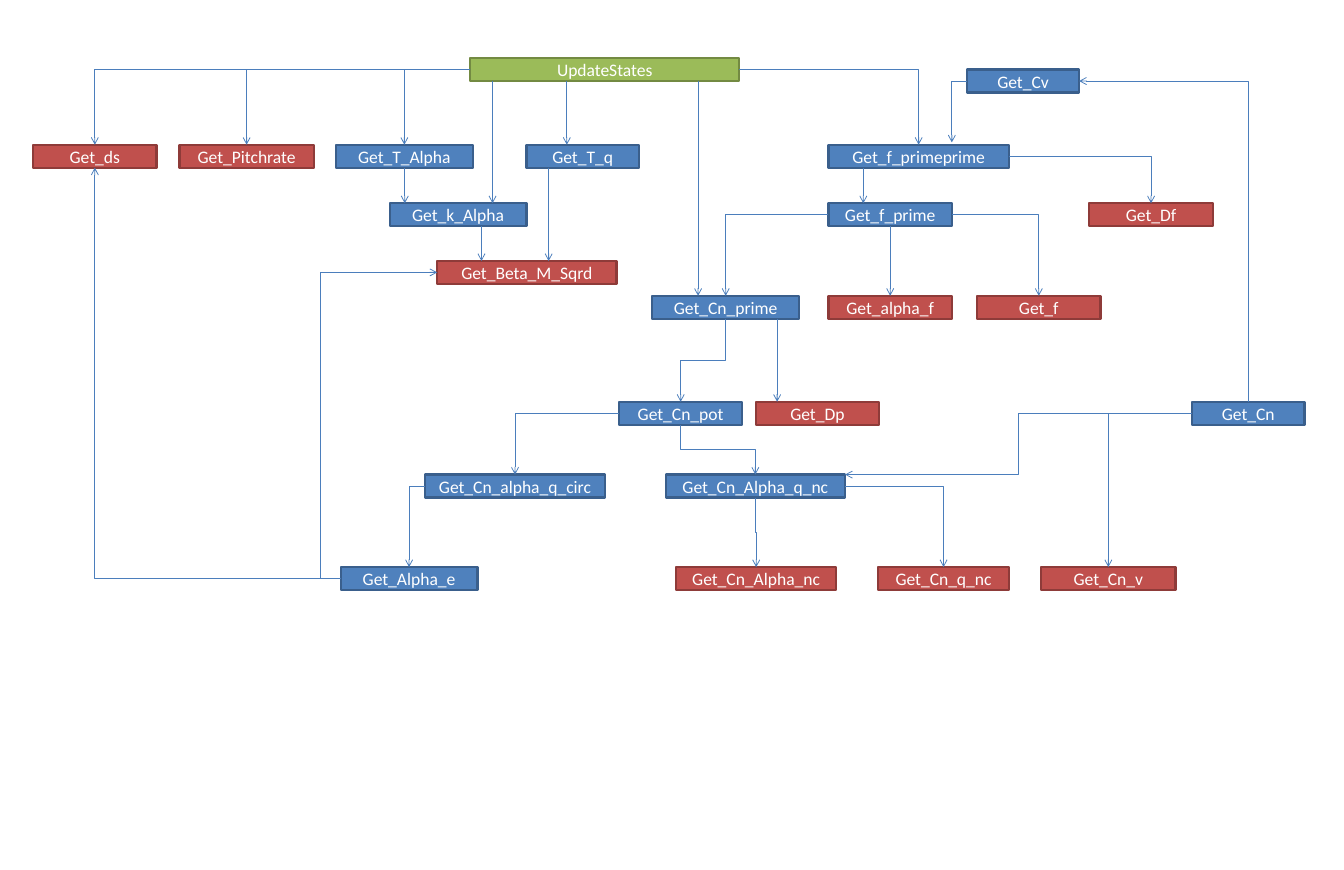
from pptx import Presentation
from pptx.dml.color import RGBColor
from pptx.enum.shapes import MSO_CONNECTOR, MSO_SHAPE
from pptx.enum.text import MSO_ANCHOR, PP_ALIGN
from pptx.oxml.ns import qn
from pptx.util import Inches, Pt
from lxml.etree import SubElement

COLS, ROWS = 17, 11
HIGH = 0.29
TOPS = dict(main=0.73, cv=0.88, first=1.83, second=2.57, beta=3.3,
            third=3.74, pot=5.08, circ=6, last=7.17)
TOP, LEFT, BASE, RIGHT = range(4)

THEME = dict(
    font="Calibri", size=Pt(16), text="FFFFFF", wire="4B7EBC",
    edge=Pt(2), thin=Pt(0.75),
    root=("9BBB59", "738A42"),
    call=("4F81BD", "3A5F8C"),
    leaf=("C0504D", "8E3B39"),
)
FRAME = dict(word_wrap=False, vertical_anchor=MSO_ANCHOR.MIDDLE,
             margin_left=Inches(0.16), margin_right=Inches(0.16),
             margin_top=Inches(0.08), margin_bottom=Inches(0.08))
FONT = dict(name=THEME["font"], size=THEME["size"])

NODES = [
    ("UpdateStates", "root", "main", 5.95, 3.4),
    ("Get_Cv", "call", "cv", 12.23, 1.42),
    ("Get_ds", "leaf", "first", 0.42, 1.56),
    ("Get_Pitchrate", "leaf", "first", 2.27, 1.7),
    ("Get_T_Alpha", "call", "first", 4.25, 1.73),
    ("Get_T_q", "call", "first", 6.66, 1.42),
    ("Get_f_primeprime", "call", "first", 10.48, 2.28),
    ("Get_k_Alpha", "call", "second", 4.93, 1.73),
    ("Get_f_prime", "call", "second", 10.48, 1.56),
    ("Get_Df", "leaf", "second", 13.78, 1.56),
    ("Get_Beta_M_Sqrd", "leaf", "beta", 5.53, 2.27),
    ("Get_Cn_prime", "call", "third", 8.25, 1.86),
    ("Get_alpha_f", "leaf", "third", 10.48, 1.56),
    ("Get_f", "leaf", "third", 12.36, 1.56),
    ("Get_Cn_pot", "call", "pot", 7.83, 1.56),
    ("Get_Dp", "leaf", "pot", 9.56, 1.56),
    ("Get_Cn", "call", "pot", 15.08, 1.42),
    ("Get_Cn_alpha_q_circ", "call", "circ", 5.38, 2.27),
    ("Get_Cn_Alpha_q_nc", "call", "circ", 8.42, 2.27),
    ("Get_Alpha_e", "call", "last", 4.31, 1.73),
    ("Get_Cn_Alpha_nc", "leaf", "last", 8.55, 2.03),
    ("Get_Cn_q_nc", "leaf", "last", 11.11, 1.65),
    ("Get_Cn_v", "leaf", "last", 13.17, 1.7),
]

DROPS = [
    ("UpdateStates", "Get_k_Alpha", 6.23),
    ("UpdateStates", "Get_T_q", 7.17),
    ("UpdateStates", "Get_Cn_prime", 8.83),
    ("Get_T_Alpha", "Get_k_Alpha", 5.12),
    ("Get_k_Alpha", "Get_Beta_M_Sqrd", 6.09),
    ("Get_T_q", "Get_Beta_M_Sqrd", 6.94),
    ("Get_f_primeprime", "Get_f_prime", 10.92),
    ("Get_f_prime", "Get_alpha_f", 11.26),
    ("Get_Cn_prime", "Get_Dp", 9.83),
]

BENDS = [
    ("UpdateStates", LEFT, "Get_ds", TOP),
    ("UpdateStates", LEFT, "Get_Pitchrate", TOP),
    ("UpdateStates", LEFT, "Get_T_Alpha", TOP),
    ("UpdateStates", RIGHT, "Get_f_primeprime", TOP),
    ("Get_f_primeprime", RIGHT, "Get_Df", TOP),
    ("Get_f_prime", LEFT, "Get_Cn_prime", TOP),
    ("Get_f_prime", RIGHT, "Get_f", TOP),
    ("Get_Cn_prime", BASE, "Get_Cn_pot", TOP),
    ("Get_Cn_pot", LEFT, "Get_Cn_alpha_q_circ", TOP),
    ("Get_Cn_pot", BASE, "Get_Cn_Alpha_q_nc", TOP),
    ("Get_Cn_alpha_q_circ", LEFT, "Get_Alpha_e", TOP),
    ("Get_Alpha_e", LEFT, "Get_ds", BASE),
    ("Get_Alpha_e", LEFT, "Get_Beta_M_Sqrd", LEFT),
    ("Get_Cn_Alpha_q_nc", BASE, "Get_Cn_Alpha_nc", TOP),
    ("Get_Cn_Alpha_q_nc", RIGHT, "Get_Cn_q_nc", TOP),
    ("Get_Cn", TOP, "Get_Cv", RIGHT),
    ("Get_Cn", LEFT, "Get_Cn_v", TOP),
]

LOOSE = [
    ("Get_Cn", LEFT, (10.69, 6), RIGHT),
    ("Get_Cv", LEFT, (12.04, 1.8), TOP),
]
DETOUR = -20600


def apply(item, values):
    for name, value in values.items():
        setattr(item, name, value)


def tint(part, code):
    part.solid()
    part.fore_color.rgb = RGBColor.from_string(code)


def port(box, side):
    mid, half = box.left + box.width // 2, box.top + box.height // 2
    return {TOP: (mid, box.top), LEFT: (box.left, half),
            BASE: (mid, box.top + box.height),
            RIGHT: (box.left + box.width, half)}[side]


def draw(slide, cell, node):
    name, kind, row, left, width = node
    box = slide.shapes.add_shape(
        MSO_SHAPE.RECTANGLE,
        *(int(cell * part) for part in (left, TOPS[row], width, HIGH)))
    fill, line = THEME[kind]
    tint(box.fill, fill)
    tint(box.line.fill, line)
    box.line.width = THEME["edge"]
    box.shadow.inherit = False
    apply(box.text_frame, FRAME)
    para = box.text_frame.paragraphs[0]
    para.alignment = PP_ALIGN.CENTER
    run = para.add_run()
    run.text = name
    apply(run.font, FONT)
    run.font.color.rgb = RGBColor.from_string(THEME["text"])
    return box


def wire(slide, kind, start, end):
    link = slide.shapes.add_connector(kind, *start, *end)
    tint(link.line.fill, THEME["wire"])
    link.line.width = THEME["thin"]
    props = link._element.spPr
    SubElement(props.find(qn("a:ln")), qn("a:tailEnd"), type="arrow")
    SubElement(props, qn("a:effectLst"))
    return link


def turn(link, start, end):
    wide, deep = end[0] - start[0], end[1] - start[1]
    across, down = abs(deep), abs(wide)
    apply(link, dict(left=(start[0] + end[0] - across) // 2,
                     top=(start[1] + end[1] - down) // 2,
                     width=across, height=down))
    frame = link._element.spPr.find(qn("a:xfrm"))
    angle = 90 if deep > 0 else 270
    flags = dict(rot=str(angle * 60000), flipH="0",
                 flipV=str(int(wide * deep > 0)))
    for name, value in flags.items():
        frame.set(name, value)


def bend(slide, box, side, goal, face, end):
    start = port(box, side)
    link = wire(slide, MSO_CONNECTOR.ELBOW, start, end)
    link.begin_connect(box, side)
    if goal is not None:
        link.end_connect(goal, face)
    shape = link._element.spPr.find(qn("a:prstGeom"))
    if side % 2 != face % 2:
        shape.set("prst", "bentConnector2")
    if side == face:
        guides = shape.find(qn("a:avLst"))
        SubElement(guides, qn("a:gd"), name="adj1", fmla=f"val {DETOUR}")
    if side in (TOP, BASE):
        turn(link, start, end)


def main():
    deck = Presentation()
    apply(deck, dict(slide_width=Inches(COLS), slide_height=Inches(ROWS)))
    cell = deck.slide_width // COLS
    slide = deck.slides.add_slide(deck.slide_layouts[6])
    boxes = {node[0]: draw(slide, cell, node) for node in NODES}
    for source, target, col in DROPS:
        across = int(cell * col)
        wire(slide, MSO_CONNECTOR.STRAIGHT,
             (across, port(boxes[source], BASE)[1]),
             (across, port(boxes[target], TOP)[1]))
    for source, side, target, face in BENDS:
        goal = boxes[target]
        bend(slide, boxes[source], side, goal, face, port(goal, face))
    for source, side, spot, face in LOOSE:
        end = tuple(int(cell * part) for part in spot)
        bend(slide, boxes[source], side, None, face, end)
    deck.save("out.pptx")


if __name__ == "__main__":
    main()
